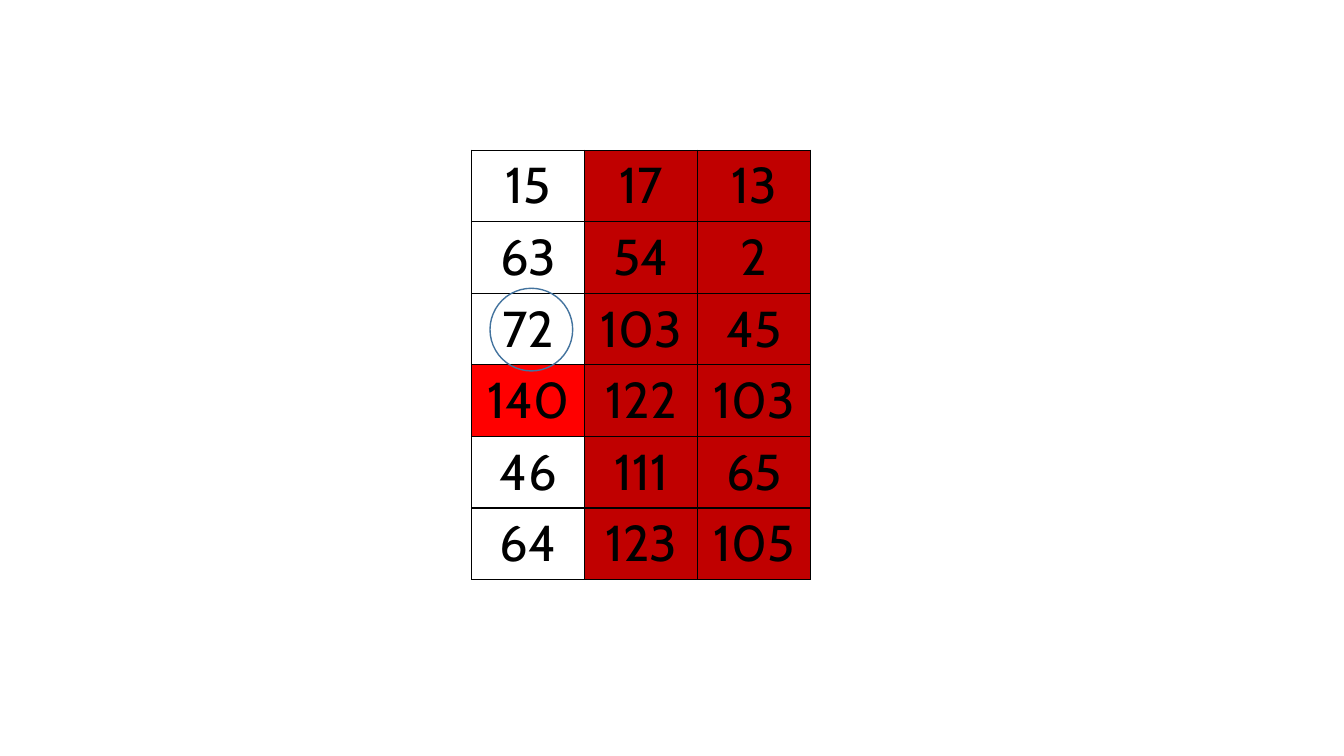
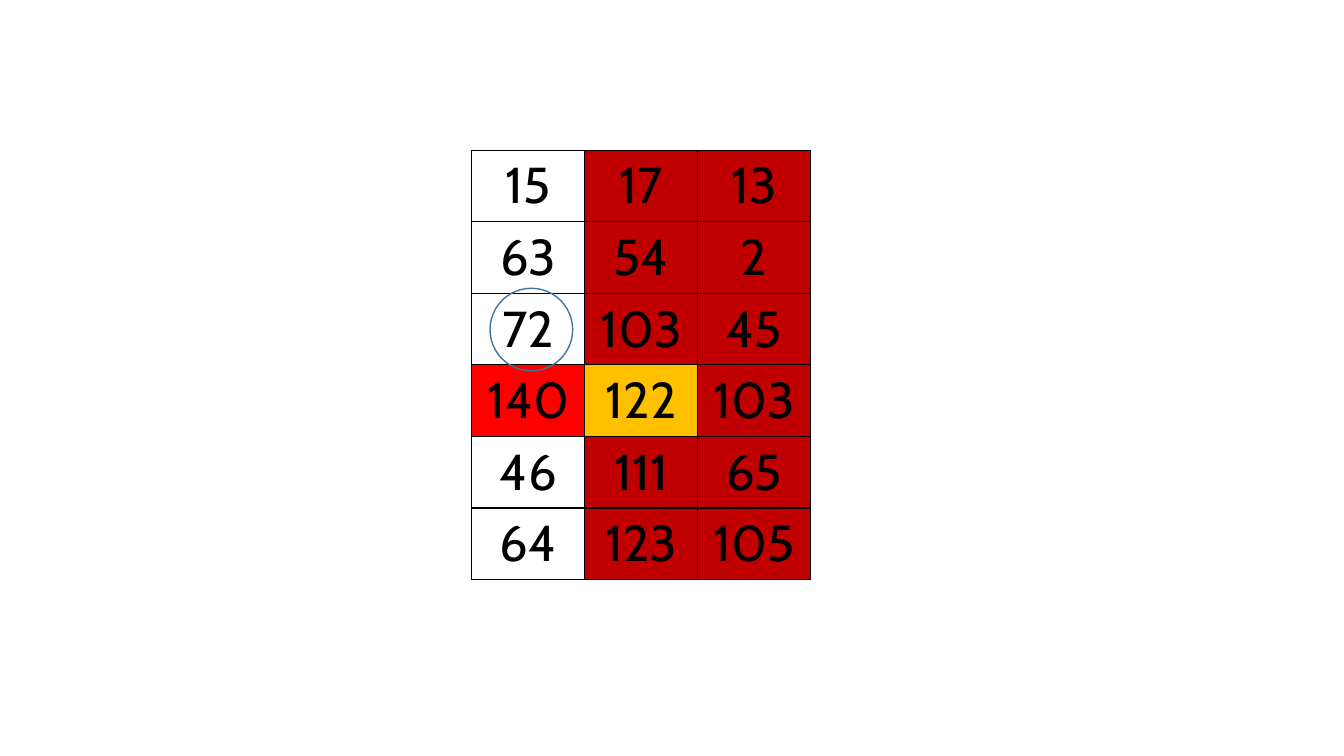
from lxml import etree
from pptx import Presentation
from pptx.dml.color import RGBColor
from pptx.enum.shapes import MSO_SHAPE as Shape
from pptx.enum.text import PP_ALIGN as Align
from pptx.oxml.ns import qn
from pptx.util import Inches, Pt

COLORS = {
    "text": "000000",
    "border": "000000",
    "open": "FFFFFF",
    "closed": "C00000",
    "peak": "FF0000",
    "candidate": "FFC000",
    "ring": "43739E",
}
FONT = {"name": "Cabin", "size": Pt(36), "bold": False}
NUMBERS = [
    (15, 17, 13),
    (63, 54, 2),
    (72, 103, 45),
    (140, 122, 103),
    (46, 111, 65),
    (64, 123, 105),
]
LEFT, TOP = 4.68, 1.49
COLUMN_WIDTH, ROW_HEIGHT = 1.12, 0.71
RING_LEFT, RING_TOP, RING_SIZE = 4.86, 2.86, 0.82
PEAK = {(3, 0): "peak"}
CANDIDATE = {(3, 1): "candidate"}


def rgb(name):
    return RGBColor.from_string(COLORS[name])


def add_borders(cell):
    properties = cell._tc.get_or_add_tcPr()
    for side in ("lnL", "lnR", "lnT", "lnB"):
        line = etree.SubElement(properties, qn(f"a:{side}"), w=str(Pt(1)))
        fill = etree.SubElement(line, qn("a:solidFill"))
        etree.SubElement(fill, qn("a:srgbClr"), val=COLORS["border"])


def format_cell(cell, number, color):
    add_borders(cell)
    cell.fill.solid()
    cell.fill.fore_color.rgb = rgb(color)
    para = cell.text_frame.paragraphs[0]
    para.alignment = Align.CENTER
    span = para.add_run()
    span.text = str(number)
    for key, value in FONT.items():
        setattr(span.font, key, value)
    span.font.color.rgb = rgb("text")


def add_number_table(page, marked):
    """Add the grid; marked maps (row, column) to a colour name."""
    rows, columns = len(NUMBERS), len(NUMBERS[0])
    table = page.shapes.add_table(
        rows, columns, Inches(LEFT), Inches(TOP),
        Inches(columns * COLUMN_WIDTH), Inches(rows * ROW_HEIGHT)).table
    table.first_row = table.horz_banding = False
    for column in table.columns:
        column.width = Inches(COLUMN_WIDTH)
    for row in table.rows:
        row.height = Inches(ROW_HEIGHT)
    for i, numbers in enumerate(NUMBERS):
        for j, number in enumerate(numbers):
            usual = "closed" if j else "open"
            format_cell(table.cell(i, j), number, marked.get((i, j), usual))


def add_ring(page):
    ring = page.shapes.add_shape(
        Shape.OVAL, Inches(RING_LEFT), Inches(RING_TOP),
        Inches(RING_SIZE), Inches(RING_SIZE))
    ring.shadow.inherit = False
    ring.fill.background()
    ring.line.color.rgb = rgb("ring")
    ring.line.width = Pt(1)


def main():
    deck = Presentation()
    deck.slide_width, deck.slide_height = Inches(13.33), Inches(7.5)
    for marked in (PEAK, PEAK | CANDIDATE):
        page = deck.slides.add_slide(deck.slide_layouts[6])
        add_number_table(page, marked)
        add_ring(page)
    deck.save("out.pptx")


if __name__ == "__main__":
    main()
